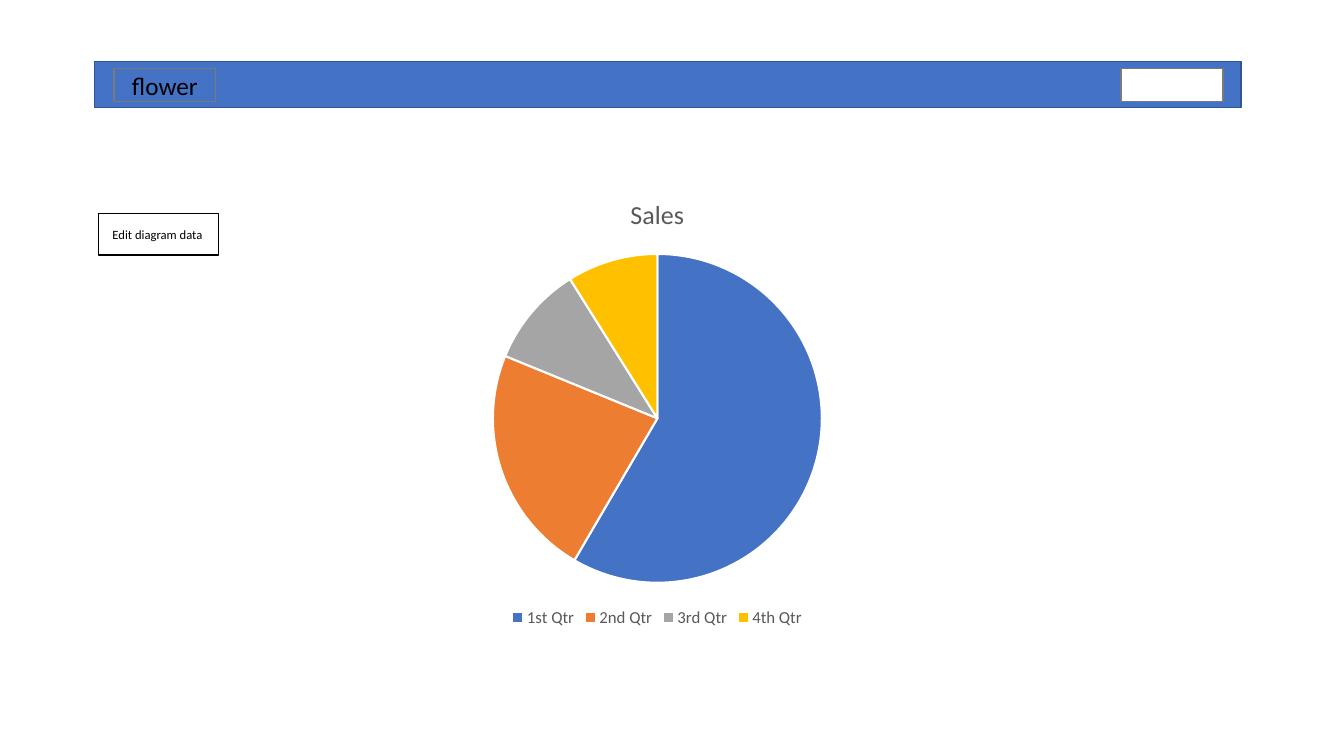
from pptx import Presentation, util as u
from pptx.chart.data import CategoryChartData
from pptx.dml.color import RGBColor
from pptx.enum import chart, shapes, text


def rgb(value):
    return RGBColor.from_string(value)


class Deck:
    """Holds the style and the current slide."""
    FONT = "Calibri"
    BLACK, WHITE, GREY, BLUE = "000000", "FFFFFF", "595959", "4472C4"
    EDGE = "7A7A7A"

    def __init__(self, prs):
        self.s = prs.slides.add_slide(prs.slide_layouts[5])

    def style_font(self, font, size, color):
        font.name, font.size, font.bold = self.FONT, u.Pt(size), False
        font.color.rgb = rgb(color)

    def outline(self, sp, color):
        sp.line.color.rgb = rgb(color)
        sp.line.width = u.Pt(1)

    def label(self, sp, words, size):
        tf = sp.text_frame
        tf.word_wrap = True
        tf.auto_size = text.MSO_AUTO_SIZE.NONE
        tf.vertical_anchor = text.MSO_ANCHOR.MIDDLE
        p = tf.paragraphs[0]
        p.alignment = text.PP_ALIGN.CENTER
        r = p.add_run()
        r.text = words
        self.style_font(r.font, size, self.BLACK)

    def box(self, at, fill, line, words="", size=9):
        sp = self.s.shapes.add_shape(shapes.MSO_SHAPE.RECTANGLE, *map(u.Inches, at))
        sp.shadow.inherit = False
        sp.fill.solid()
        sp.fill.fore_color.rgb = rgb(fill)
        self.outline(sp, line)
        if words:
            self.label(sp, words, size)
        return sp

    def title(self, at, words, size, above):
        sp = self.s.shapes.title
        sp.left, sp.top, sp.width, sp.height = map(u.Inches, at)
        self.outline(sp, self.EDGE)
        self.label(sp, words, size)
        above.element.addnext(sp.element)

    def pie(self, at, name, slices):
        data = CategoryChartData()
        data.categories = [quarter for quarter, _, _ in slices]
        data.add_series(name, [value for _, value, _ in slices])
        ch = self.s.shapes.add_chart(
            chart.XL_CHART_TYPE.PIE, *map(u.Inches, at), data).chart
        self.style_font(ch.font, 10, self.BLACK)

        ch.has_title = True
        r = ch.chart_title.text_frame.paragraphs[0].add_run()
        r.text = name
        self.style_font(r.font, 18.6, self.GREY)
        ch.chart_title.include_in_layout = False

        ch.has_legend = True
        ch.legend.position = chart.XL_LEGEND_POSITION.BOTTOM
        ch.legend.include_in_layout = False
        self.style_font(ch.legend.font, 12, self.GREY)

        plot = ch.plots[0]
        plot.vary_by_categories = True
        for i, (_, _, color) in enumerate(slices):
            fmt = plot.series[0].points[i].format
            fmt.fill.solid()
            fmt.fill.fore_color.rgb = rgb(color)
            fmt.line.color.rgb = rgb(self.WHITE)
            fmt.line.width = u.Pt(1.5)


def main():
    prs = Presentation()
    prs.slide_width, prs.slide_height = u.Inches(13.33), u.Inches(7.5)
    d = Deck(prs)

    # Header bar with title and empty field
    bar = d.box((0.94, 0.61, 11.37, 0.46), d.BLUE, "325491")
    d.title((1.13, 0.68, 1.01, 0.33), "flower", 18, bar)
    d.box((11.12, 0.68, 1.01, 0.33), d.WHITE, d.EDGE)

    # Edit button
    d.box((0.98, 2.12, 1.19, 0.41), d.WHITE, d.BLACK, "Edit diagram data ")

    # Sales by quarter
    d.pie((2.69, 1.76, 7.66, 4.51), "Sales", [
        ("1st Qtr", 59, d.BLUE),
        ("2nd Qtr", 23, "ED7D31"),
        ("3rd Qtr", 10, "A5A5A5"),
        ("4th Qtr", 9, "FFC000"),
    ])
    prs.save("out.pptx")


if __name__ == "__main__":
    main()
